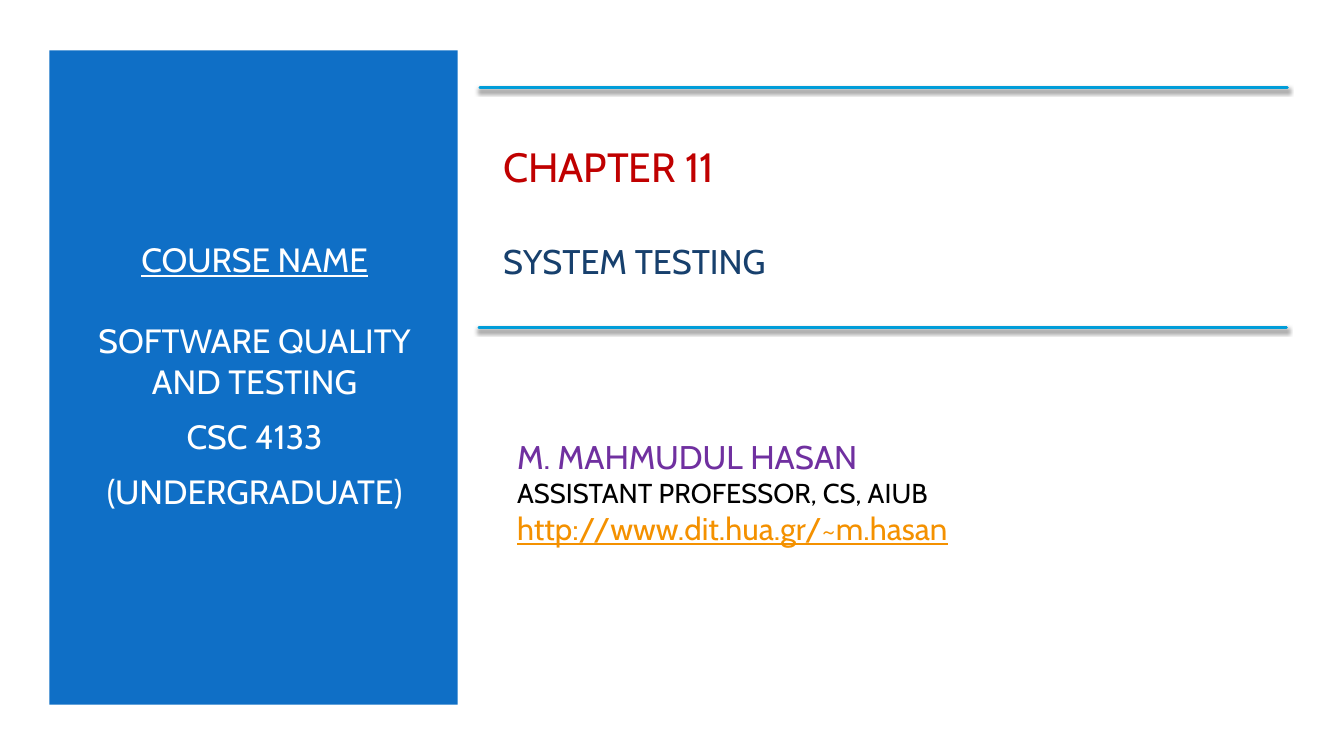
from lxml import etree
from pptx import Presentation
from pptx import util as u
from pptx.dml.color import RGBColor
from pptx.enum import shapes, text
from pptx.oxml.ns import qn

WIDE, HIGH = 13.33, 7.5
FONT = "Cabin"
WHITE = RGBColor(0xFF, 0xFF, 0xFF)
BLACK = RGBColor(0, 0, 0)
BLUE = RGBColor(0x0F, 0x6F, 0xC6)
CYAN = RGBColor(0x00, 0x9D, 0xD9)
RED = RGBColor(0xC0, 0, 0)
NAVY = RGBColor(0x17, 0x40, 0x6D)
PURPLE = RGBColor(0x70, 0x30, 0xA0)
ORANGE = RGBColor(0xF4, 0x91, 0)

LEFT, MID = text.PP_ALIGN.LEFT, text.PP_ALIGN.CENTER

# Each line: wording, size, colour, underline, space before, space after
COURSE = [
    ("COURSE NAME", 24, WHITE, True, 0, 29),
    ("SOFTWARE QUALITY AND TESTING", 24, WHITE, False, 0, 6),
    ("CSC 4133", 24, WHITE, False, 4.8, 6),
    ("(UNDERGRADUATE)", 24, WHITE, False, 4.8, 6),
]
TOPIC = [
    ("CHAPTER 11", 29.2, RED, False, 0, 35.5),
    ("SYSTEM TESTING", 24.4, NAVY, False, 0, 0),
]
AUTHOR = [
    ("M. MAHMUDUL HASAN", 23.4, PURPLE, False, 0, 0),
    ("ASSISTANT PROFESSOR, CS, AIUB", 19.5, BLACK, False, 0, 0),
    ("http://www.dit.hua.gr/~m.hasan", 22.4, ORANGE, True, 0, 0),
]


def place(shape, left, top, width, height):
    shape.left, shape.top = u.Inches(left), u.Inches(top)
    shape.width, shape.height = u.Inches(width), u.Inches(height)


def write(shape, lines, align, anchor):
    frame = shape.text_frame
    frame.text = "\n".join(line[0] for line in lines)
    frame.word_wrap = True
    frame.auto_size = text.MSO_AUTO_SIZE.NONE
    frame.vertical_anchor = anchor
    for para, (_, size, color, under, before, after) in zip(frame.paragraphs, lines):
        para.alignment = align
        para.line_spacing = 1.0
        para.space_before, para.space_after = u.Pt(before), u.Pt(after)
        for run in para.runs:
            font = run.font
            font.name, font.size, font.underline = FONT, u.Pt(size), under
            font.color.rgb = color


def panel(slide, left, top, width, height):
    box = slide.shapes.add_shape(shapes.MSO_SHAPE.RECTANGLE, 0, 0, 0, 0)
    place(box, left, top, width, height)
    box.shadow.inherit = False
    box.fill.solid()
    box.fill.fore_color.rgb = BLUE
    box.line.fill.background()
    # Send behind the text
    box.element.getparent().insert(2, box.element)


def rule(slide, left, top, width):
    line = slide.shapes.add_connector(
        shapes.MSO_CONNECTOR.STRAIGHT,
        u.Inches(left), u.Inches(top), u.Inches(left + width), u.Inches(top))
    line.line.color.rgb = CYAN
    line.line.width = u.Pt(2)
    line.line._get_or_add_ln().set("cap", "rnd")
    # Soft shadow straight below
    fx = etree.SubElement(line.element.spPr, qn("a:effectLst"))
    shade = etree.SubElement(fx, qn("a:outerShdw"), blurRad=str(u.Pt(3)),
                             dist=str(u.Pt(2)), dir="5400000", rotWithShape="0")
    tint = etree.SubElement(shade, qn("a:srgbClr"), val="000000")
    etree.SubElement(tint, qn("a:alpha"), val="55000")


def main():
    deck = Presentation()
    deck.slide_width, deck.slide_height = u.Inches(WIDE), u.Inches(HIGH)
    slide = deck.slides.add_slide(deck.slide_layouts[0])
    slide.background.fill.solid()
    slide.background.fill.fore_color.rgb = WHITE

    # Course panel
    panel(slide, 0.49, 0.5, 4.05, 6.49)
    course = slide.placeholders[1]
    place(course, 0.84, 1.1, 3.37, 5.25)
    write(course, COURSE, MID, text.MSO_ANCHOR.MIDDLE)

    # Chapter title between two rules
    title = slide.shapes.title
    place(title, 4.89, 1.1, 7.85, 2)
    write(title, TOPIC, LEFT, text.MSO_ANCHOR.MIDDLE)
    for left, top in ((4.76, 0.87), (4.75, 3.25)):
        rule(slide, left, top, 8.01)

    # Author
    author = slide.shapes.add_textbox(0, 0, 0, 0)
    place(author, 5.03, 4.1, 6.66, 1.56)
    write(author, AUTHOR, LEFT, text.MSO_ANCHOR.MIDDLE)

    deck.save("out.pptx")


if __name__ == "__main__":
    main()
